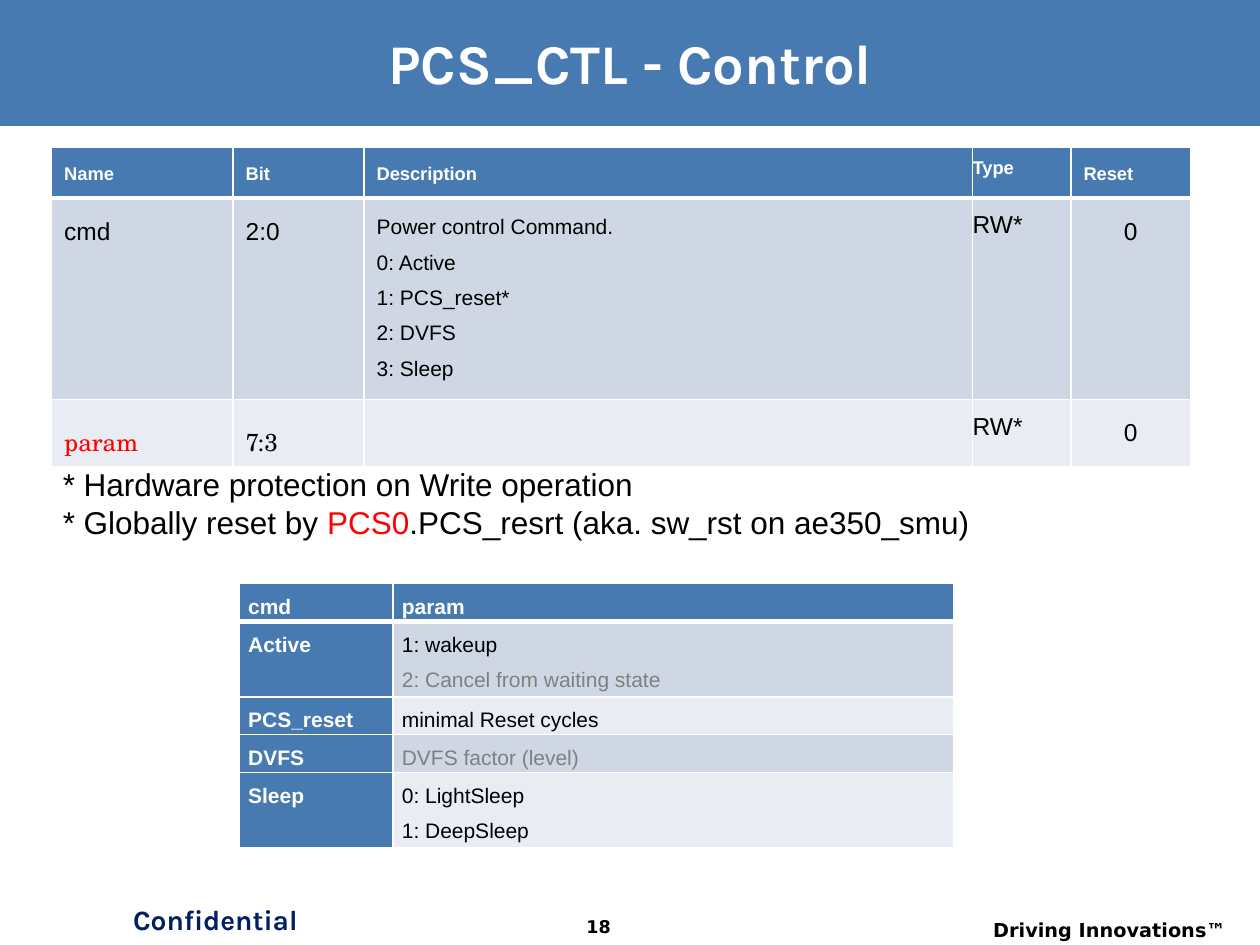
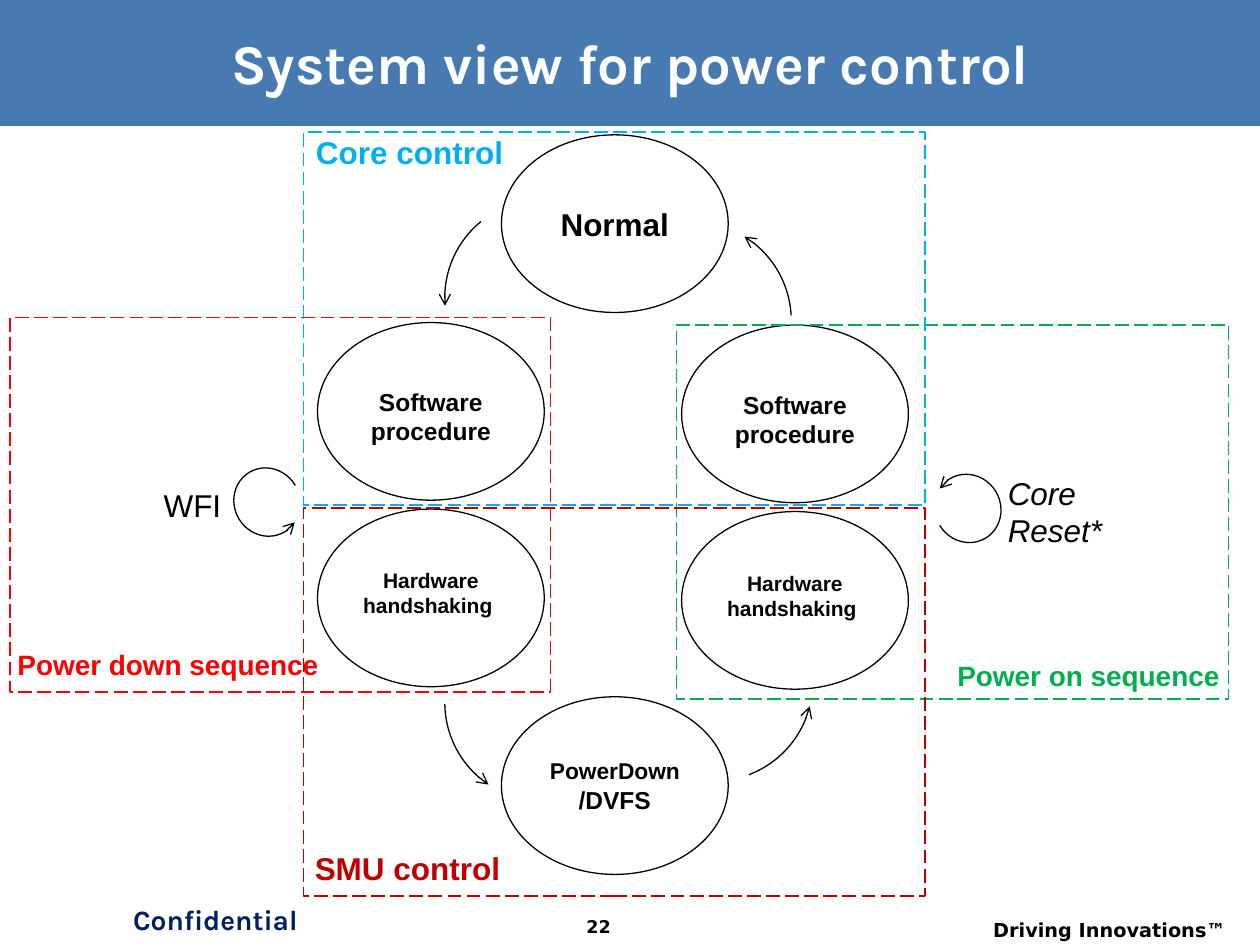
"""Build two slides on power control: a register table and a system view."""
import pptx
import pptx.dml.color
import pptx.enum.dml
import pptx.enum.shapes
import pptx.enum.text
import pptx.oxml
import pptx.oxml.ns
import pptx.util

Inches = pptx.util.Inches
Pt = pptx.util.Pt
Align = pptx.enum.text.PP_ALIGN
Anchor = pptx.enum.text.MSO_ANCHOR
AutoSize = pptx.enum.text.MSO_AUTO_SIZE
Shape = pptx.enum.shapes.MSO_SHAPE

COLORS = {
    "white": "FFFFFF", "black": "000000", "band": "477AB1", "navy": "002060",
    "stripe": "CFD7E4", "pale": "E9ECF2", "red": "FF0000", "gray": "808080",
    "green": "00B050", "crimson": "C00000", "sky": "00B0F0",
}


def rgb(name):
    return pptx.dml.color.RGBColor.from_string(COLORS[name])


def xml(text):
    return pptx.oxml.parse_xml(text.replace(">", f" {pptx.oxml.ns.nsdecls('a')}>", 1))


class Deck:
    """Holds the style and the current slide."""

    heading_font = "Karla"
    footer_font = "DejaVu Sans"
    body_font = "Arial"

    def __init__(self):
        self.deck = pptx.Presentation()
        self.deck.slide_width = Inches(10)
        self.deck.slide_height = Inches(7.5)
        self.slide = None

    def start(self, heading, number):
        self.slide = self.deck.slides.add_slide(self.deck.slide_layouts[5])
        band = self.shape(Shape.RECTANGLE, (0, 0, 10, 1), fill="band")
        self.slide.shapes.element.insert(2, band.element)
        self.title(heading)
        self.text((0.89, 7.11, 1.64, 0.42), ["Confidential"], size=16, color="navy",
                  bold=True, font=self.heading_font, align=Align.CENTER, wrap=True)
        self.text((7.46, 7.24, 2.37, 0.26), ["Driving Innovations™"], size=11,
                  bold=True, font=self.footer_font, align=Align.RIGHT, wrap=True)
        self.text((4.29, 7.22, 0.92, 0.28), [number], size=10, bold=True,
                  font=self.footer_font, align=Align.CENTER, wrap=True)

    def title(self, heading):
        title = self.slide.shapes.title
        title.left, title.top = Inches(0.35), Inches(0.16)
        title.width, title.height = Inches(9.31), Inches(0.66)
        frame = title.text_frame
        frame.auto_size = AutoSize.NONE
        frame.vertical_anchor = Anchor.MIDDLE
        self.fill_text(frame, [heading], size=32, color="white", bold=True,
                       font=self.heading_font, align=Align.CENTER)
        letter_fill = next(title.element.iter(pptx.oxml.ns.qn("a:solidFill")))
        letter_fill.addnext(xml('<a:effectLst><a:outerShdw dist="50800" dir="2700000">'
                                f'<a:srgbClr val="{COLORS["black"]}"/>'
                                '</a:outerShdw></a:effectLst>'))

    def fill_text(self, frame, lines, align=Align.LEFT, spacing=None, **style):
        for index, line in enumerate(lines):
            paragraph = frame.paragraphs[0] if index == 0 else frame.add_paragraph()
            if spacing:
                paragraph.line_spacing = spacing
            for part in line if isinstance(line, list) else [line]:
                words, changes = (part, {}) if isinstance(part, str) else part
                look = {**style, **changes}
                paragraph.alignment = look.get("align", align)
                run = paragraph.add_run()
                run.text = words
                run.font.name = look.get("font", self.body_font)
                run.font.size = Pt(look["size"])
                run.font.bold = look.get("bold", False)
                run.font.italic = look.get("italic", False)
                run.font.color.rgb = rgb(look.get("color", "black"))

    def text(self, box, lines, wrap=False, **style):
        frame = self.slide.shapes.add_textbox(*map(Inches, box)).text_frame
        frame.word_wrap = wrap
        if not wrap:
            frame.auto_size = AutoSize.SHAPE_TO_FIT_TEXT
        self.fill_text(frame, lines, **style)

    def shape(self, kind, box, fill=None, line=None, width=0.75):
        shape = self.slide.shapes.add_shape(kind, *map(Inches, box))
        shape.shadow.inherit = False
        if fill:
            shape.fill.solid()
            shape.fill.fore_color.rgb = rgb(fill)
        else:
            shape.fill.background()
        if line:
            shape.line.color.rgb = rgb(line)
            shape.line.width = Pt(width)
        else:
            shape.line.fill.background()
        return shape

    def state(self, left, top, lines, drop=0, **style):
        ellipse = self.shape(Shape.OVAL, (left, top, 1.8, 1.41), line="black")
        frame = ellipse.text_frame
        frame.word_wrap = True
        frame.vertical_anchor = Anchor.MIDDLE
        frame.margin_top, frame.margin_bottom = Inches(0.05 + drop), Inches(0.05 - drop)
        self.fill_text(frame, lines, bold=True, align=Align.CENTER, **style)

    def arc(self, box, rotation, start, end):
        arc = self.shape(Shape.ARC, box, line="black")
        arc.rotation = rotation
        arc.adjustments[0], arc.adjustments[1] = start, end
        outline = arc.element.spPr.find(pptx.oxml.ns.qn("a:ln"))
        outline.append(xml('<a:headEnd type="arrow"></a:headEnd>'))

    def zone(self, box, color):
        zone = self.shape(Shape.RECTANGLE, box, line=color, width=1)
        zone.line.dash_style = pptx.enum.dml.MSO_LINE.LONG_DASH

    def borders(self, cell, row):
        widths = {"L": 1, "R": 1, "T": 3 if row == 1 else 1, "B": 3 if row == 0 else 1}
        properties = cell._tc.get_or_add_tcPr()
        for index, (side, width) in enumerate(widths.items()):
            properties.insert(index, xml(
                f'<a:ln{side} w="{Pt(width)}"><a:solidFill>'
                f'<a:srgbClr val="{COLORS["white"]}"/></a:solidFill></a:ln{side}>'))

    def table(self, left, top, widths, heights, rows, margins, sizes,
              labels=False, centered=None):
        box = (left, top, sum(widths), sum(heights))
        table = self.slide.shapes.add_table(
            len(rows), len(widths), *map(Inches, box)).table
        for column, width in zip(table.columns, widths):
            column.width = Inches(width)
        for row, height in zip(table.rows, heights):
            row.height = Inches(height)
        for r, row in enumerate(rows):
            for c, lines in enumerate(row):
                cell = table.cell(r, c)
                strong = r == 0 or (labels and c == 0)
                cell.fill.solid()
                cell.fill.fore_color.rgb = rgb(
                    "band" if strong else "stripe" if r % 2 else "pale")
                self.borders(cell, r)
                side, edge = map(Inches, margins[c])
                cell.margin_left = cell.margin_right = side
                cell.margin_top = cell.margin_bottom = edge
                self.fill_text(cell.text_frame, lines, spacing=1.5, bold=strong,
                               size=sizes[min(r, 1)],
                               color="white" if strong else "black",
                               align=Align.CENTER if r and c == centered else Align.LEFT)


def control_slide(deck):
    deck.start("PCS_CTL - Control", "18")
    commands = ["Power control Command.", "0: Active", "1: PCS_reset*", "2: DVFS", "3: Sleep"]
    serif = {"font": "TeX Gyre Schola"}
    roomy, flush, snug = (0.1, 0.05), (0, 0), (0.07, 0)
    deck.table(
        0.41, 1.17, [1.44, 1.04, 4.83, 0.78, 0.95], [0.4, 1.5, 0.53],
        [[["Name"], ["Bit"], ["Description"], ["Type"], ["Reset"]],
         [["cmd"], ["2:0"], [(line, {"size": 12}) for line in commands], ["RW*"], ["0"]],
         [[("param", {**serif, "color": "red"})], [("7:3", serif)], [], ["RW*"], ["0"]]],
        margins=[roomy, roomy, roomy, flush, roomy], sizes=(10.5, 14), centered=4)
    gray = {"color": "gray"}
    line = 0.28
    deck.table(
        1.9, 4.63, [1.22, 4.45], [line, 2 * line, line, line, 2 * line],
        [[["cmd"], ["param"]],
         [["Active"], ["1: wakeup", ("2: Cancel from waiting state", gray)]],
         [["PCS_reset"], ["minimal Reset cycles"]],
         [["DVFS"], [("DVFS factor (level)", gray)]],
         [["Sleep"], ["0: LightSleep", "1: DeepSleep"]]],
        margins=[snug, snug], sizes=(12, 12), labels=True)
    deck.text((0.4, 3.64, 7.4, 0.71), [
        "* Hardware protection on Write operation",
        ["* Globally reset by ", ("PCS0", {"color": "red"}),
         ".PCS_resrt (aka. sw_rst on ae350_smu)"]], size=18)


def system_slide(deck):
    deck.start("System view for power control", "22")
    deck.state(3.98, 1.07, ["Normal"], size=18)
    deck.state(3.98, 5.53, [("PowerDown", {"size": 13}), "/DVFS"], size=14)
    for left, top in ((2.52, 2.56), (5.41, 2.58)):
        deck.state(left, top, ["Software", "procedure"], drop=0.04, size=14)
        deck.state(left, top + 1.48, ["Hardware", ("handshaking", {"align": Align.LEFT})],
                   drop=-0.04, size=12)

    for left, top, rotation in ((3.53, 1.58, 243.5), (4.71, 1.76, 9.8),
                                (3.53, 4.79, 191.9), (4.88, 4.63, 82.1)):
        deck.arc((left, top, 1.57, 1.57), rotation, 175.21, 208.29)
    for left, top, rotation in ((1.86, 3.71, 329.5), (7.42, 3.76, 148.8)):
        deck.arc((left, top, 0.52, 0.55), rotation, 39.99, 0)

    for zone, label, name, color, size in (
            ((0.08, 2.52, 4.29, 2.97), (0.04, 5.09, 2.68, 0.37),
             "Power down sequence", "red", 16),
            ((5.37, 2.58, 4.38, 2.97), (7.5, 5.18, 2.37, 0.37),
             "Power on sequence", "green", 16),
            ((2.41, 4.03, 4.93, 3.08), (2.4, 6.69, 1.76, 0.4),
             "SMU control", "crimson", 18),
            ((2.41, 1.05, 4.93, 2.96), (2.41, 1.01, 1.77, 0.4),
             "Core control", "sky", 18)):
        deck.zone(zone, color)
        deck.text(label, [name], size=size, color=color, bold=True)

    deck.text((7.9, 3.71, 0.96, 0.71), ["Core", "Reset*"], size=18, italic=True)
    deck.text((1.2, 3.81, 0.66, 0.4), ["WFI"], size=18)


def main():
    deck = Deck()
    control_slide(deck)
    system_slide(deck)
    deck.deck.save("out.pptx")


if __name__ == "__main__":
    main()
